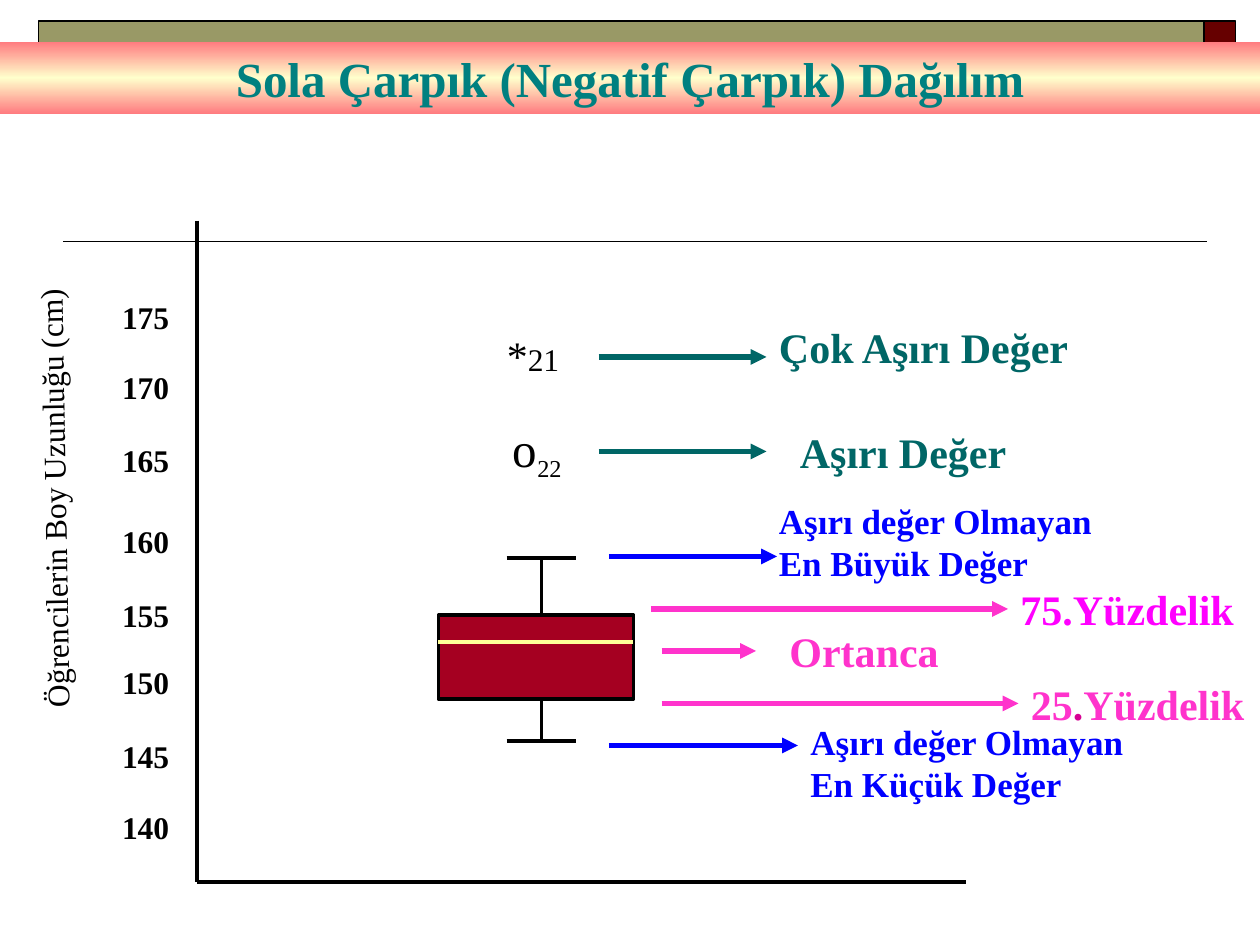
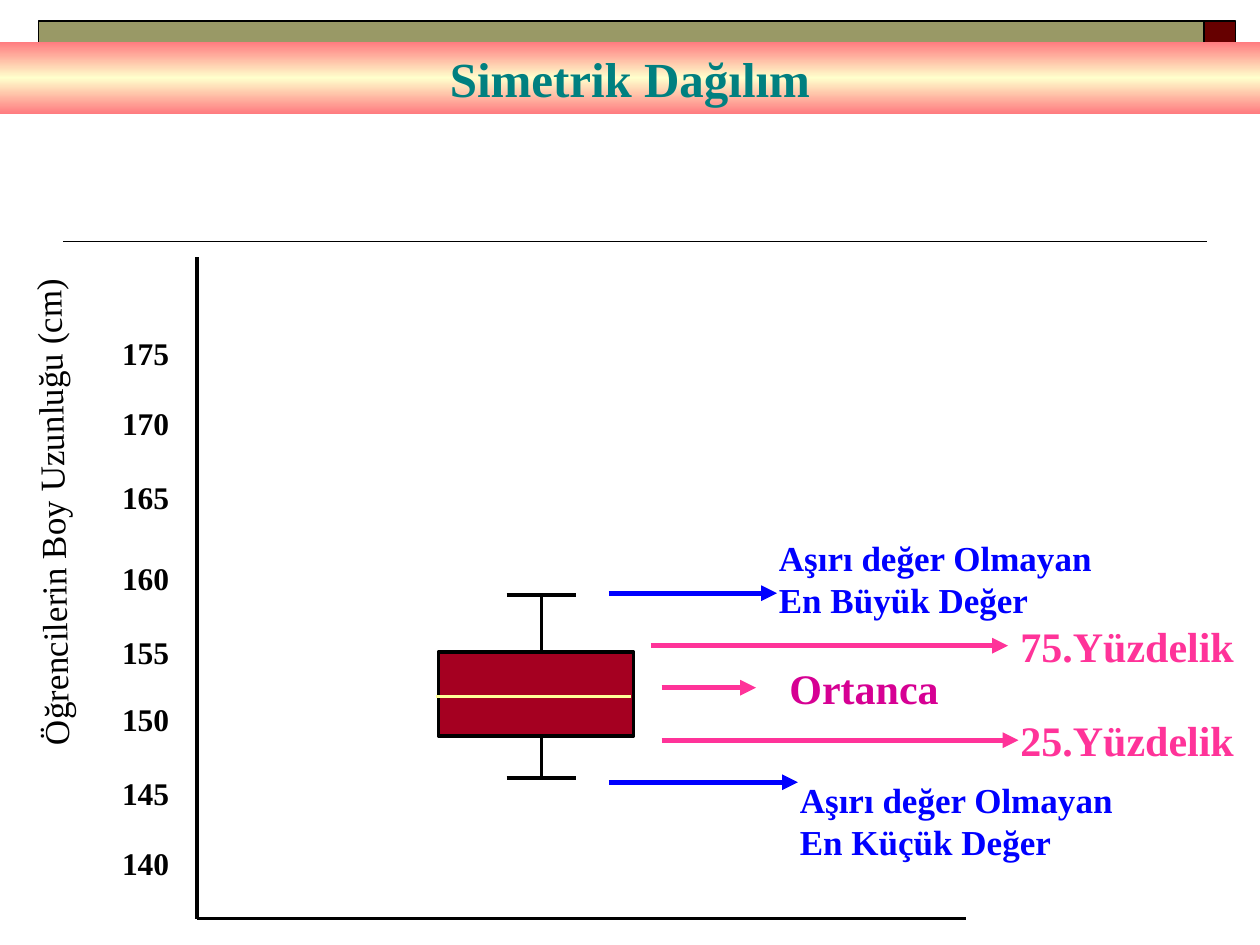
from copy import deepcopy
from dataclasses import dataclass

from lxml import etree
from pptx import Presentation
from pptx.dml.color import RGBColor
from pptx.enum.shapes import MSO_CONNECTOR, MSO_SHAPE
from pptx.enum.text import MSO_ANCHOR, PP_ALIGN
from pptx.oxml.ns import qn
from pptx.util import Pt

RECT = MSO_SHAPE.RECTANGLE
STRAIGHT = MSO_CONNECTOR.STRAIGHT
LEFT, CENTER = PP_ALIGN.LEFT, PP_ALIGN.CENTER
TOP, MIDDLE = MSO_ANCHOR.TOP, MSO_ANCHOR.MIDDLE


@dataclass(frozen=True)
class Theme:
    # Colours
    ink: str = "000000"
    olive: str = "999966"
    maroon: str = "660000"
    band_edge: str = "FF7C80"
    band_mid: str = "FFFFCC"
    title: str = "008080"
    teal: str = "006666"
    blue: str = "0000FF"
    pink: str = "FF33CC"
    magenta: str = "FF00FF"
    rose: str = "FF3399"
    plum: str = "D60093"
    box: str = "A50021"
    median: str = "FFFF99"
    # Type sizes and line widths
    font: str = "Times New Roman"
    title_size: int = 28
    label_size: int = 24
    note_size: int = 20
    tick_size: int = 18
    thin: int = 1
    axis: int = 2
    arrow: int = 3


T = Theme()

# Heights of the scale labels are uneven, so they are listed
TICKS = {175: 166.5, 170: 206.5, 165: 248.5, 160: 295,
         155: 337, 150: 375.5, 145: 417.5, 140: 458}


def rgb(value):
    return RGBColor.from_string(value)


# --- Elements ---
def add_rect(s, x, y, w, h, fill, line=None, width=T.thin):
    sp = s.shapes.add_shape(RECT, Pt(x), Pt(y), Pt(w), Pt(h))
    sp.shadow.inherit = False
    sp.fill.solid()
    sp.fill.fore_color.rgb = rgb(fill)
    if line:
        sp.line.color.rgb = rgb(line)
        sp.line.width = Pt(width)
    else:
        sp.line.fill.background()
    return sp


def add_line(s, x1, y1, x2, y2, color=T.ink, width=T.axis, arrow=False):
    cn = s.shapes.add_connector(STRAIGHT, Pt(x1), Pt(y1), Pt(x2), Pt(y2))
    cn.line.color.rgb = rgb(color)
    cn.line.width = Pt(width)
    spPr = cn.element.spPr
    if arrow:
        etree.SubElement(spPr.find(qn("a:ln")), qn("a:tailEnd"), type="triangle")
    etree.SubElement(spPr, qn("a:effectLst"))


def format_run(r, size, color, bold):
    r.font.name = T.font
    r.font.size = Pt(size)
    r.font.color.rgb = rgb(color)
    r.font.bold = bold


def add_text(s, x, y, w, h, parts, bold=True, wrap=True, align=LEFT):
    """Parts are (text, size, colour) runs of one paragraph."""
    sp = s.shapes.add_textbox(Pt(x), Pt(y), Pt(w), Pt(h))
    tf = sp.text_frame
    tf.word_wrap = wrap
    tf.vertical_anchor = TOP
    p = tf.paragraphs[0]
    p.alignment = align
    for text, size, color in parts:
        r = p.add_run()
        r.text = text
        format_run(r, size, color, bold)
    return sp


def add_callout(s, x1, x2, y, color, text_x, text_y, text_w, parts):
    add_line(s, x1, y, x2, y, color, T.arrow, arrow=True)
    add_text(s, text_x, text_y, text_w, 36, parts)


# --- Shared frame ---
def add_frame(s, title):
    add_line(s, 36, 138, 690, 138, width=T.thin)
    add_rect(s, 688, 12, 18, 18, T.maroon, T.ink)
    add_rect(s, 22, 12, 666, 18, T.olive, T.ink)

    # Title on a three-stop gradient band
    sp = add_rect(s, 0, 24, 720, 41, T.band_edge)
    sp.fill.gradient()
    sp.fill.gradient_angle = 90
    stops = sp.element.spPr.find(".//" + qn("a:gsLst"))
    stops.insert(1, deepcopy(stops[0]))
    for stop, position, color in zip(sp.fill.gradient_stops, (0, 0.5, 1),
                                     (T.band_edge, T.band_mid, T.band_edge)):
        stop.position = position
        stop.color.rgb = rgb(color)
    tf = sp.text_frame
    tf.text = title
    tf.word_wrap = True
    tf.vertical_anchor = MIDDLE
    p = tf.paragraphs[0]
    p.alignment = CENTER
    format_run(p.runs[0], T.title_size, T.title, True)


# --- Box plot; dy moves the whole plot down ---
def add_axes(s, dy):
    add_line(s, 112.5, 126 + dy, 112.5, 504 + dy)
    add_line(s, 112.5, 504 + dy, 552, 504 + dy)
    for value, y in TICKS.items():
        add_text(s, 60, y + dy, 46.5, 30, [(str(value), T.tick_size, T.ink)],
                 wrap=False, align=CENTER)


def add_axis_title(s, x, y, w, h, size):
    sp = add_text(s, x, y, w, h, [("Öğrencilerin Boy Uzunluğu (cm)", size, T.ink)],
                  bold=False, wrap=False)
    sp.rotation = 178.9
    tf = sp.text_frame
    tf.margin_left = tf.margin_right = Pt(3.6)
    tf.margin_top = tf.margin_bottom = Pt(7.2)
    sp.element.txBody.bodyPr.set("vert", "eaVert")


def add_box(s, dy, median_x, median_y):
    left, top, width, height = 250.5, 351.5 + dy, 111.5, 48
    add_rect(s, left, top, width, height, T.box, T.ink, T.axis)
    add_line(s, median_x, median_y + dy, median_x + width, median_y + dy, T.median)
    for edge, cap in ((top, 319 + dy), (top + height, 423.5 + dy)):
        add_line(s, 309.5, edge, 309.5, cap)
        add_line(s, 289.5, cap, 329, cap)


def add_limits(s, dy, low_x, low_y):
    for x2, y, text_x, text_y, w, word in (
            (444, 318, 438, 282, 222, "Büyük"),
            (456, 426, low_x, low_y, 210, "Küçük")):
        text = f"Aşırı değer Olmayan En {word} Değer"
        add_callout(s, 348, x2, y + dy, T.blue, text_x, text_y + dy, w,
                    [(text, T.note_size, T.blue)])


def add_quartiles(s, dy, color, upper, median, lower, lower_x):
    size = T.label_size
    add_callout(s, 372, 576, 348 + dy, color, 576, 330 + dy, 138,
                [("75.Yüzdelik", size, upper)])
    add_callout(s, 378, 432, 372 + dy, color, 444, 354 + dy, 156,
                [("Ortanca", size, median)])
    add_callout(s, 378, 582, 402 + dy, color, lower_x, 384 + dy, 138,
                [(text, size, c) for text, c in lower])


def add_outliers(s):
    # Boxes are a little wider than the text, so the numbers stay on one line
    add_text(s, 282.5, 185, 54, 36, [("*", 24, T.ink), ("21", 18, T.ink)],
             bold=False, wrap=False)
    sp = add_text(s, 286, 235.5, 54, 44, [("o", 28, T.ink), ("22", 24, T.ink)],
                  bold=False, wrap=False)
    subscript = sp.text_frame.paragraphs[0].runs[1]
    subscript.font._element.set("baseline", "-25000")
    for y, x, text_y, w, text in ((204, 438, 180, 234, "Çok Aşırı Değer"),
                                  (258, 450, 240, 144, "Aşırı Değer")):
        add_callout(s, 342, 438, y, T.teal, x, text_y, w,
                    [(text, T.label_size, T.teal)])


# --- Slides ---
def build_left_skewed(s):
    add_frame(s, "Sola Çarpık (Negatif Çarpık) Dağılım")
    add_box(s, 0, 250.5, 367)
    add_outliers(s)
    add_limits(s, 0, 456, 408)
    add_quartiles(s, 0, T.pink, T.magenta, T.pink,
                  [("25", T.pink), (".", T.plum), ("Yüzdelik", T.pink)], 582)
    add_axes(s, 0)
    add_axis_title(s, 16, 164.5, 36, 247, T.tick_size)


def build_symmetric(s):
    dy = 21
    add_frame(s, "Simetrik Dağılım")
    add_box(s, dy, 249, 377)
    add_axes(s, dy)
    add_axis_title(s, 13.5, 158.5, 38, 274.5, T.note_size)
    add_limits(s, dy, 450, 420.5)
    add_quartiles(s, dy, T.rose, T.rose, T.plum, [("25.Yüzdelik", T.rose)], 576)


def main():
    prs = Presentation()
    prs.slide_width, prs.slide_height = Pt(720), Pt(540)
    blank = prs.slide_layouts[6]
    for build in (build_left_skewed, build_symmetric):
        build(prs.slides.add_slide(blank))
    prs.save("out.pptx")


main()
